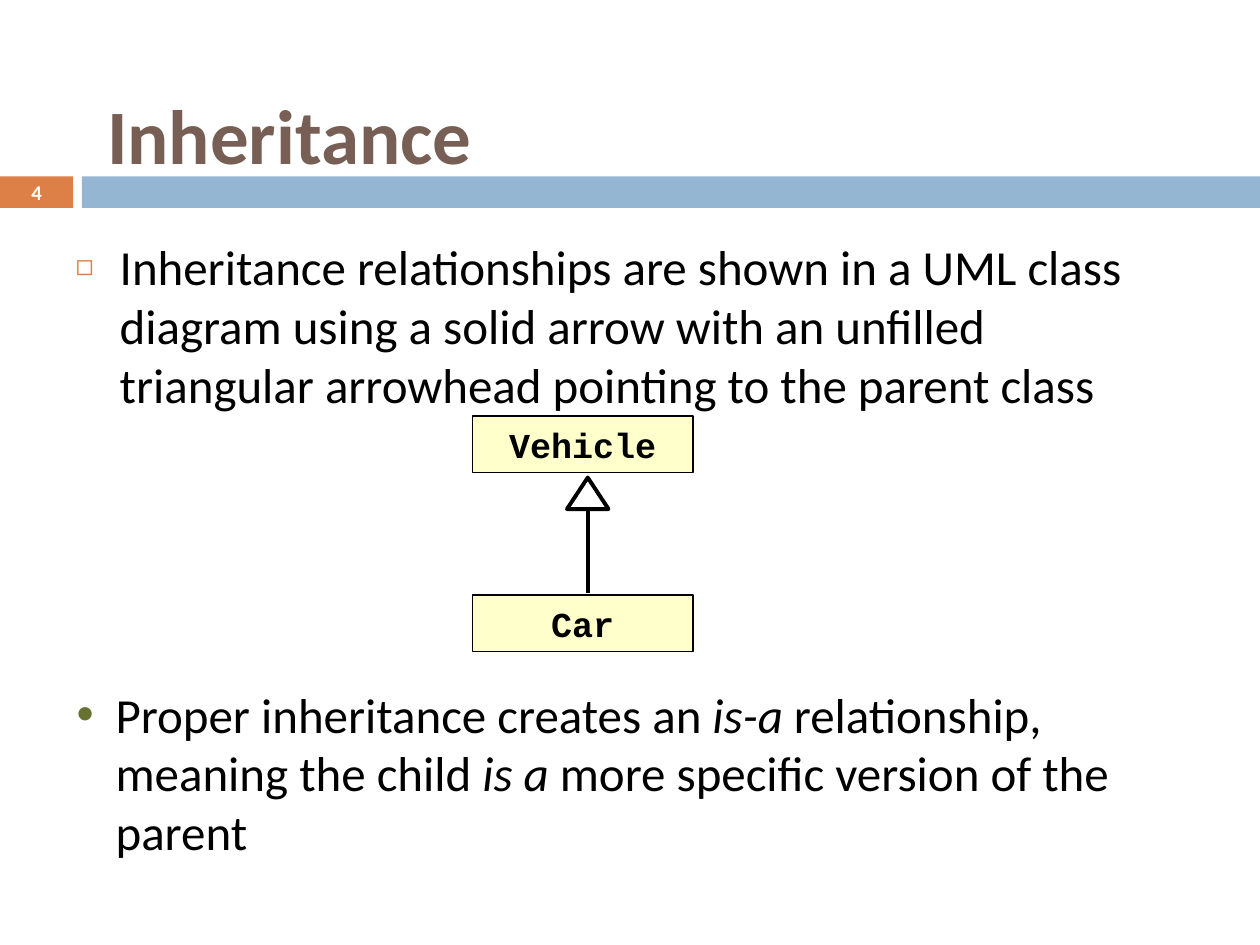
from lxml import etree
from pptx import Presentation
from pptx.dml.color import RGBColor
from pptx.enum.shapes import MSO_CONNECTOR, MSO_SHAPE
from pptx.enum.text import MSO_ANCHOR, MSO_AUTO_SIZE, PP_ALIGN
from pptx.oxml.ns import qn
from pptx.util import Inches, Pt

RECT, TRIANGLE = MSO_SHAPE.RECTANGLE, MSO_SHAPE.ISOSCELES_TRIANGLE
STRAIGHT = MSO_CONNECTOR.STRAIGHT
TOP, MIDDLE = MSO_ANCHOR.TOP, MSO_ANCHOR.MIDDLE
LEFT, CENTER = PP_ALIGN.LEFT, PP_ALIGN.CENTER
NO_FIT = MSO_AUTO_SIZE.NONE

BLACK = RGBColor(0x00, 0x00, 0x00)
WHITE = RGBColor(0xFF, 0xFF, 0xFF)
BROWN = RGBColor(0x77, 0x5F, 0x55)
ORANGE = RGBColor(0xDD, 0x80, 0x47)
BLUE = RGBColor(0x94, 0xB6, 0xD2)
YELLOW = RGBColor(0xFF, 0xFF, 0xCC)
OLIVE = RGBColor(0x67, 0x71, 0x32)


def write(shape, *runs, size=28, font="Calibri", color=BLACK, bold=False,
          align=LEFT, anchor=TOP, before=0, bullet=None):
    """Fill a shape with one paragraph; every second run is italic.

    A bullet is a tuple of sign, colour, percent of text size and indent.
    """
    frame = shape.text_frame
    frame.word_wrap = True
    frame.auto_size = NO_FIT
    frame.vertical_anchor = anchor
    para = frame.paragraphs[0]
    para.alignment = align
    para.space_before = Pt(before)
    for i, text in enumerate(runs):
        run = para.add_run()
        run.text = text
        face = run.font
        face.name, face.size, face.bold = font, Pt(size), bold
        face.italic = i % 2 == 1
        face.color.rgb = color
    if bullet:
        sign, tint, scale, indent = bullet
        props = para._p.get_or_add_pPr()
        props.set("marL", str(Inches(indent)))
        props.set("indent", str(-Inches(indent)))
        paint = etree.SubElement(props, qn("a:buClr"))
        etree.SubElement(paint, qn("a:srgbClr"), val=str(tint))
        etree.SubElement(props, qn("a:buSzPct"), val=str(scale * 1000))
        etree.SubElement(props, qn("a:buFont"), typeface="Arial")
        etree.SubElement(props, qn("a:buChar"), char=sign)


def draw(shapes, kind, box, fill, width=0):
    """Add a flat shape, with a black line if a width is given."""
    shape = shapes.add_shape(kind, *map(Inches, box))
    shape.shadow.inherit = False
    shape.fill.solid()
    shape.fill.fore_color.rgb = fill
    if width:
        shape.line.color.rgb = BLACK
        shape.line.width = Pt(width)
    else:
        shape.line.fill.background()
    return shape


deck = Presentation()
deck.slide_width, deck.slide_height = Inches(10), Inches(7.5)
slide = deck.slides.add_slide(deck.slide_layouts[1])
shapes = slide.shapes
title, body = shapes.title, slide.placeholders[1]

# Header
draw(shapes, RECT, (0, 1.4, 0.58, 0.25), ORANGE)
draw(shapes, RECT, (0.65, 1.4, 9.35, 0.25), BLUE)
number = shapes.add_textbox(*map(Inches, (0, 1.39, 0.58, 0.27)))
write(number, "4", size=11.9, color=WHITE, bold=True, align=CENTER, anchor=MIDDLE)

# Title and body
places = ((title, (0.75, 0.44, 8.03, 1.25)), (body, (0.5, 1.83, 8.5, 1.68)))
for holder, box in places:
    holder.left, holder.top, holder.width, holder.height = map(Inches, box)
write(title, "Inheritance", size=44, color=BROWN, bold=True, anchor=MIDDLE)
write(body, "Inheritance relationships are shown in a UML class diagram using a "
      "solid arrow with an unfilled triangular arrowhead pointing to the parent class",
      before=7, bullet=("\u25fb", ORANGE, 60, 0.35))

# Class diagram
stem = shapes.add_connector(STRAIGHT, *map(Inches, (4.67, 4.71, 4.67, 4.04)))
stem.line.color.rgb = BLACK
stem.line.width = Pt(2.25)
etree.SubElement(stem._element.spPr, qn("a:effectLst"))
draw(shapes, TRIANGLE, (4.5, 3.79, 0.33, 0.25), WHITE, 2.25)
for name, top in (("Vehicle", 3.3), ("Car", 4.72)):
    box = draw(shapes, RECT, (3.75, top, 1.75, 0.45), YELLOW, 1)
    write(box, name, size=20, font="Courier New", bold=True,
          align=CENTER, anchor=MIDDLE)

# Closing point
note = shapes.add_textbox(*map(Inches, (0.51, 5.38, 8.5, 1.68)))
write(note, "Proper inheritance creates an ", "is-a",
      " relationship, meaning the child ", "is a",
      " more specific version of the parent", bullet=("\u2022", OLIVE, 100, 0.31))

deck.save("out.pptx")
